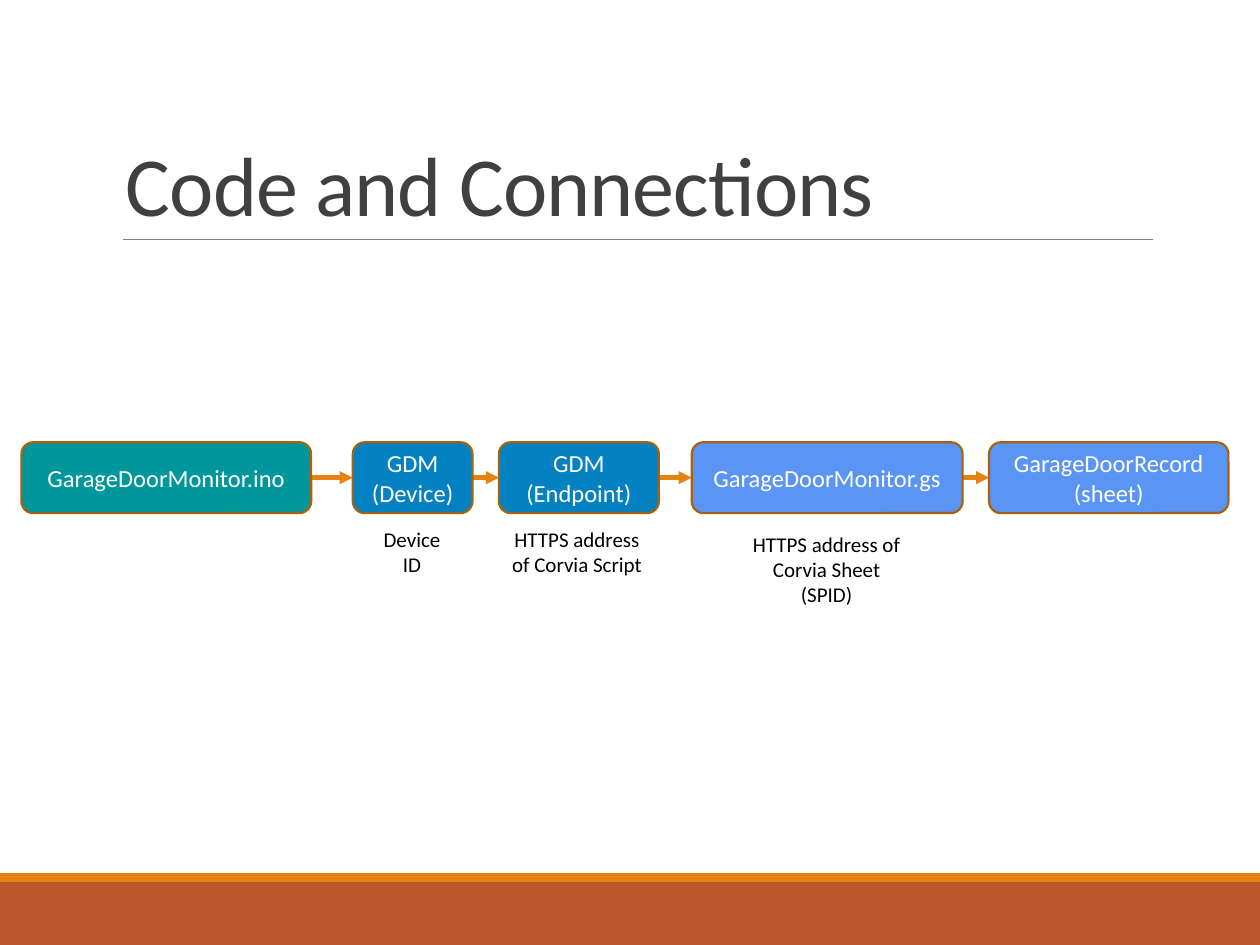
from pptx import Presentation
from pptx.dml.color import RGBColor
from pptx.enum.shapes import MSO_CONNECTOR, MSO_SHAPE
from pptx.enum.text import MSO_ANCHOR, PP_ALIGN
from pptx.oxml.ns import qn
from pptx.util import Inches, Pt
from lxml import etree

RECT, ROUNDED = MSO_SHAPE.RECTANGLE, MSO_SHAPE.ROUNDED_RECTANGLE
STRAIGHT = MSO_CONNECTOR.STRAIGHT
TOP, MIDDLE, BOTTOM = MSO_ANCHOR.TOP, MSO_ANCHOR.MIDDLE, MSO_ANCHOR.BOTTOM
LEFT, CENTER = PP_ALIGN.LEFT, PP_ALIGN.CENTER

COLORS = {
    "band": "BD582C", "accent": "E48312", "rule": "808080", "title": "404040",
    "border": "A9610D", "sketch": "00979C", "cloud": "0381C0",
    "script": "5A94F5", "white": "FFFFFF", "black": "000000",
}
COLORS = {name: RGBColor.from_string(value) for name, value in COLORS.items()}

prs = Presentation()
prs.slide_width, prs.slide_height = Inches(10), Inches(7.5)
COL, ROW = prs.slide_width / 100, prs.slide_height / 100
slide = prs.slides.add_slide(prs.slide_layouts[6])
shapes = slide.shapes


def write(frame, lines, size, color, align, anchor):
    frame.word_wrap = True
    frame.vertical_anchor = anchor
    paragraph = frame.paragraphs[0]
    paragraph.alignment = align
    for i, line in enumerate(lines):
        if i:
            paragraph.add_line_break()
        run = paragraph.add_run()
        run.text = line
        run.font.name, run.font.size = "Calibri", Pt(size)
        run.font.color.rgb = COLORS[color]
    return paragraph


def connect(x1, x2, y, color, width):
    line = shapes.add_connector(STRAIGHT, *(int(v) for v in (x1 * COL, y * ROW, x2 * COL, y * ROW)))
    line.line.color.rgb, line.line.width = COLORS[color], Pt(width)
    etree.SubElement(line._element.spPr, qn("a:effectLst"))
    return line


# Footer bands
for top, height, color in [(93.33, 6.67, "band"), (92.4, 0.93, "accent")]:
    band = shapes.add_shape(RECT, 0, int(top * ROW), prs.slide_width, int(height * ROW))
    band.shadow.inherit = False
    band.fill.solid()
    band.fill.fore_color.rgb = COLORS[color]
    band.line.fill.background()

# Title and rule
connect(9.8, 91.5, 25.33, "rule", 0.5)
title = shapes.add_textbox(*(int(v) for v in (9 * COL, 4.13 * ROW, 82.5 * COL, 21.2 * ROW)))
heading = write(title.text_frame, ["Code and Connections"], 48, "title", LEFT, BOTTOM)
heading.line_spacing = 0.85
heading.runs[0].font._element.set("spc", "-50")

# Stages of the data flow: left, width, color, lines
STAGE_TOP, STAGE_HEIGHT = 46.8, 7.5
stages = [
    (1.7, 23, "sketch", ["GarageDoorMonitor.ino"]),
    (28, 9.5, "cloud", ["GDM", "(Device)"]),
    (39.6, 12.7, "cloud", ["GDM", "(Endpoint)"]),
    (54.9, 21.5, "script", ["GarageDoorMonitor.gs"]),
    (78.5, 19, "script", ["GarageDoorRecord", "(sheet)"]),
]

# Arrows from each stage to the next
for (left, width, *_), (next_left, *_) in zip(stages, stages[1:]):
    arrow = connect(left + width, next_left, STAGE_TOP + STAGE_HEIGHT / 2, "accent", 2.5)
    etree.SubElement(arrow.line._get_or_add_ln(), qn("a:tailEnd"), type="triangle")

for left, width, color, lines in stages:
    stage = shapes.add_shape(ROUNDED, *(int(v) for v in (
        left * COL, STAGE_TOP * ROW, width * COL, STAGE_HEIGHT * ROW)))
    stage.shadow.inherit = False
    stage.fill.solid()
    stage.fill.fore_color.rgb = COLORS[color]
    stage.line.color.rgb, stage.line.width = COLORS["border"], Pt(1.25)
    write(stage.text_frame, lines, 14, "white", CENTER, MIDDLE)

# Notes on what links the stages: left, top, width, height, text
for left, top, width, height, note in [
    (28.7, 55.07, 8, 6.67, "Device ID"),
    (39.3, 55.07, 13, 6.67, "HTTPS address of Corvia Script"),
    (58.4, 55.6, 14.4, 9.47, "HTTPS address of Corvia Sheet (SPID)"),
]:
    caption = shapes.add_textbox(*(int(v) for v in (
        left * COL, top * ROW, width * COL, height * ROW)))
    write(caption.text_frame, [note], 12, "black", CENTER, TOP)

prs.save("out.pptx")
